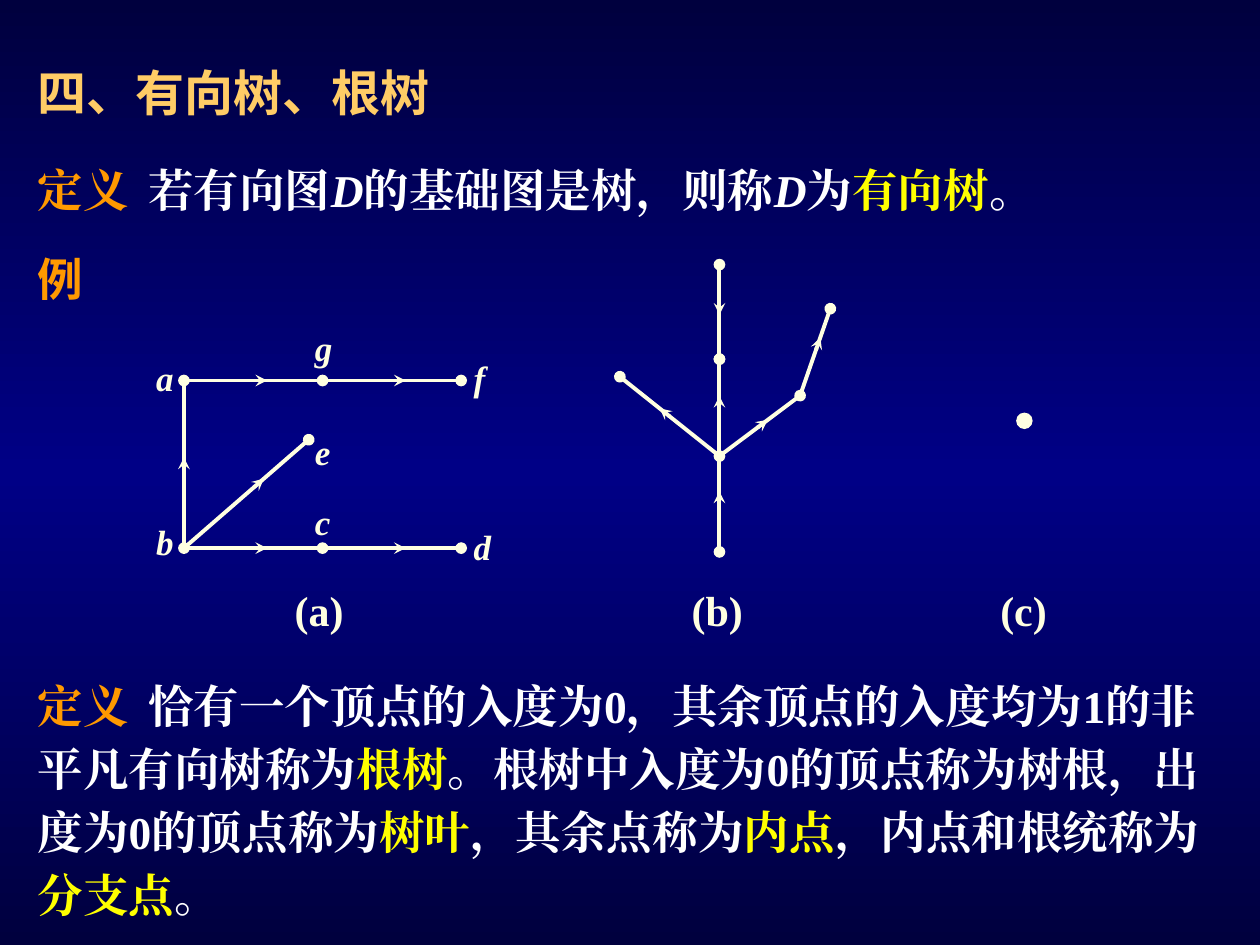
from copy import deepcopy
from dataclasses import dataclass
from math import hypot

from lxml.etree import SubElement
from pptx import Presentation
from pptx.dml.color import RGBColor
from pptx.enum.shapes import MSO_CONNECTOR, MSO_SHAPE
from pptx.oxml.ns import qn
from pptx.util import Inches, Pt

COLUMNS, ROWS = 100, 75
CELL = Inches(0.1)


@dataclass(frozen=True)
class Theme:
    edge_dark: str = "00003E"
    middle_blue: str = "000086"
    heading: str = "FFCC66"
    keyword: str = "FF9900"
    body: str = "FFFFFF"
    term: str = "FFFF00"
    graph: str = "FFFFE1"
    serif: str = "Times New Roman"
    sans: str = "Arial"
    chinese: str = "Noto Sans CJK SC"
    heading_size: float = 28
    body_size: float = 26
    caption_size: float = 24
    vertex_size: float = 20
    edge_width: float = 2.25
    line_height: float = 1.2


THEME = Theme()


def grid(value):
    return round(value * CELL)


def paint_background(slide):
    fill = slide.background.fill
    fill.gradient()
    fill.gradient_angle = 90
    first = fill.gradient_stops[0]
    stop_list = first._element if hasattr(first, "_element") else first._gs
    parent = stop_list.getparent()
    parent.insert(1, deepcopy(stop_list))
    colours = (THEME.edge_dark, THEME.middle_blue, THEME.edge_dark)
    for stop, share, colour in zip(fill.gradient_stops, (0, 0.5, 1), colours):
        stop.position = share
        stop.color.rgb = RGBColor.from_string(colour)


def add_text(slide, box, parts, size=THEME.body_size, font=THEME.serif,
             color=THEME.body, italic=False, spacing=1, tab=None):
    """Write one paragraph; each part is a string or (string, format overrides)."""
    frame = slide.shapes.add_textbox(*map(grid, box)).text_frame
    frame.word_wrap = True
    paragraph = frame.paragraphs[0]
    paragraph.line_spacing = Pt(round(size * THEME.line_height * spacing, 1))
    if tab:
        stops = SubElement(paragraph._p.get_or_add_pPr(), qn("a:tabLst"))
        SubElement(stops, qn("a:tab"), pos=str(grid(tab)), algn="l")
    for part in parts:
        words, changes = part if isinstance(part, tuple) else (part, {})
        run = paragraph.add_run()
        run.text = words
        run.font.size = Pt(size)
        run.font.name = font
        run.font.bold = True
        run.font.italic = changes.get("italic", italic)
        run.font.color.rgb = RGBColor.from_string(changes.get("color", color))
        SubElement(run._r.get_or_add_rPr(), qn("a:ea"), typeface=font)


def add_line(slide, start, end, head=None, tail=None):
    line = slide.shapes.add_connector(MSO_CONNECTOR.STRAIGHT, *map(grid, (*start, *end)))
    line.line.width = Pt(THEME.edge_width)
    line.line.color.rgb = RGBColor.from_string(THEME.graph)
    outline = line.line._get_or_add_ln()
    for tag, kind in (("a:headEnd", head), ("a:tailEnd", tail)):
        if kind:
            SubElement(outline, qn(tag), type=kind)
    SubElement(line._element.spPr, qn("a:effectLst"))


def add_edge(slide, start, end, tip_share, head=None):
    """Draw a directed edge whose arrow tip lies at tip_share of its length."""
    add_line(slide, start, end, head=head, tail="oval")
    dx, dy = end[0] - start[0], end[1] - start[1]
    shares = (tip_share - 1 / hypot(dx, dy), tip_share)
    shaft, tip = [(start[0] + dx * s, start[1] + dy * s) for s in shares]
    add_line(slide, shaft, tip, tail="stealth")


def add_tree(slide, vertices, edges):
    for source, target, tip_share, head in edges:
        add_edge(slide, vertices[source], vertices[target], tip_share, head)


def add_single_vertex(slide, left, top, diameter):
    dot = slide.shapes.add_shape(
        MSO_SHAPE.OVAL, *map(grid, (left, top, diameter, diameter)))
    dot.shadow.inherit = False
    dot.fill.solid()
    dot.fill.fore_color.rgb = RGBColor.from_string(THEME.graph)
    dot.line.color.rgb = RGBColor.from_string(THEME.graph)
    dot.line.width = Pt(0.75)


def add_definitions(slide):
    keyword = ("定义\t", {"color": THEME.keyword})
    digraph = ("D", {"italic": True})

    def term(words):
        return words, {"color": THEME.term}

    add_text(slide, (2, 3.3, 37, 6.6), ["四、有向树、根树"], size=THEME.heading_size,
             font=THEME.chinese, color=THEME.heading, spacing=1.26)
    add_text(slide, (2, 11.5, 85.1, 11),
             [keyword, "若有向图", digraph, "的基础图是树，则称", digraph, "为",
              term("有向树"), "。"], spacing=1.2, tab=8.8)
    add_text(slide, (2, 19.4, 6.5, 5.4), ["例"], font=THEME.sans, color=THEME.keyword)
    add_text(slide, (2, 52.7, 95.8, 20.9),
             [keyword, "恰有一个顶点的入度为0，其余顶点的入度均为1的非平凡有向树称为",
              term("根树"), "。根树中入度为0的顶点称为树根，出度为0的顶点称为",
              term("树叶"), "，其余点称为", term("内点"), "，内点和根统称为",
              term("分支点"), "。"], spacing=1.15, tab=8.8)


def add_labels(slide):
    for caption, left in (("(a)", 22.4), ("(b)", 53.9), ("(c)", 78.4)):
        add_text(slide, (left, 45.9, 7.1, 5), [caption],
                 size=THEME.caption_size, color=THEME.graph)
    left, middle, right = 11.4, 24, 36.6
    places = {"a": (left, 27.8), "b": (left, 40.8), "c": (middle, 39.2),
              "d": (right, 41.2), "e": (middle, 33.7), "f": (right, 27.8),
              "g": (middle, 25.4)}
    for letter, place in places.items():
        add_text(slide, (*place, 3.2, 4.4), [letter], size=THEME.vertex_size,
                 color=THEME.graph, italic=True)


def main():
    deck = Presentation()
    deck.slide_width, deck.slide_height = COLUMNS * CELL, ROWS * CELL
    slide = deck.slides.add_slide(deck.slide_layouts[6])
    paint_background(slide)
    add_definitions(slide)

    left, step, top, bottom = 14.6, 11, 30.2, 43.5
    add_tree(
        slide,
        {"a": (left, top), "g": (left + step, top), "f": (left + 2 * step, top),
         "b": (left, bottom), "c": (left + step, bottom),
         "d": (left + 2 * step, bottom), "e": (24.5, 34.9)},
        [("b", "a", 0.54, "oval"), ("b", "e", 0.64, None), ("b", "c", 0.6, None),
         ("c", "d", 0.6, None), ("a", "g", 0.6, None), ("g", "f", 0.6, None)])

    trunk = 57.1
    add_tree(
        slide,
        {"root": (trunk, 43.8), "fork": (trunk, 36.2), "upper": (trunk, 28.5),
         "top": (trunk, 21), "left": (49.2, 29.9), "right": (63.5, 31.4),
         "right tip": (65.9, 24.5)},
        [("root", "fork", 0.63, "oval"), ("fork", "upper", 0.62, None),
         ("top", "upper", 0.53, "oval"), ("fork", "left", 0.6, None),
         ("fork", "right", 0.6, None), ("right", "right tip", 0.67, None)])

    add_single_vertex(slide, 80.7, 32.8, 1.2)
    add_labels(slide)
    deck.save("out.pptx")


if __name__ == "__main__":
    main()
